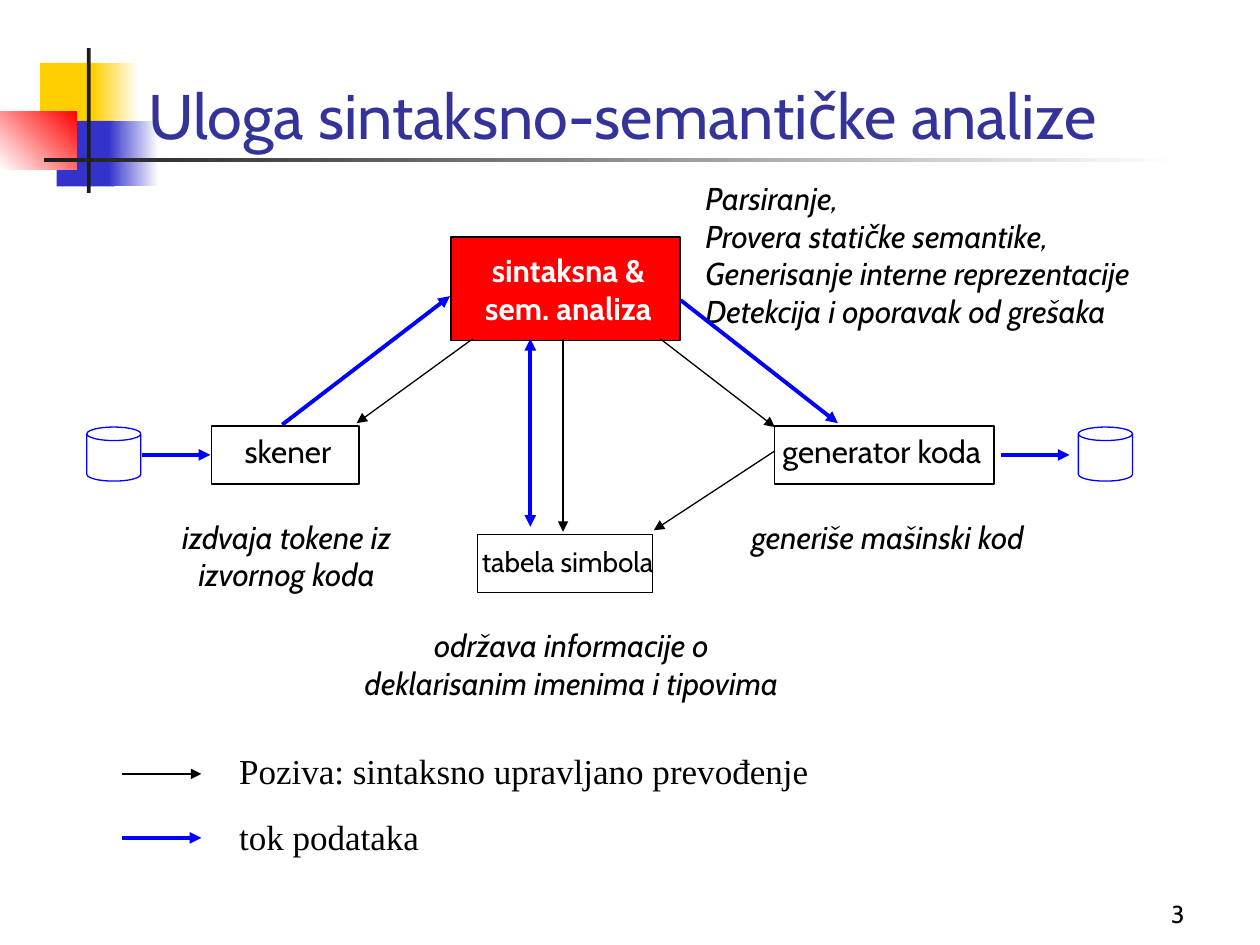
from pptx import Presentation
from pptx import util as u
from pptx.dml.color import RGBColor
from pptx.enum import shapes, text
from pptx.oxml.ns import qn
from lxml import etree

COLORS = {
    "yellow": "FFCF01", "indigo": "3333CC", "red": "FF0000", "dark": "1C1C1C",
    "title": "333399", "flow": "0000FF", "black": "000000", "white": "FFFFFF",
}
BODY_FONT = "Cabin"
LEGEND_FONT = "Times New Roman"
LEFT, CENTER, RIGHT = text.PP_ALIGN.LEFT, text.PP_ALIGN.CENTER, text.PP_ALIGN.RIGHT


def color(name):
    return RGBColor.from_string(COLORS[name])


def place(item, left, top, width, height):
    item.left, item.top, item.width, item.height = map(u.Cm, (left, top, width, height))


def add_block(slide, box, fill=None, line=None, kind=shapes.MSO_SHAPE.RECTANGLE):
    block = slide.shapes.add_shape(kind, *map(u.Cm, box))
    block.shadow.inherit = False
    if fill:
        block.fill.solid()
        block.fill.fore_color.rgb = color(fill)
    else:
        block.fill.background()
    if line:
        block.line.color.rgb = color(line)
        block.line.width = u.Pt(0.75)
    else:
        block.line.fill.background()
    return block


def add_fade(slide, box, start, end, angle=180):
    fade = add_block(slide, box)
    fade.fill.gradient()
    fade.fill.gradient_angle = angle
    for stop, name in zip(fade.fill.gradient_stops, (start, end)):
        stop.color.rgb = color(name)


def write(frame, lines, size, ink="black", align=LEFT, font=BODY_FONT, bold=False, italic=False):
    for index, line in enumerate(lines):
        paragraph = frame.paragraphs[0] if index == 0 else frame.add_paragraph()
        paragraph.alignment = align
        run = paragraph.add_run()
        run.text = line
        run.font.name = font
        run.font.size = u.Pt(size)
        run.font.bold = bold
        run.font.italic = italic
        run.font.color.rgb = color(ink)


def add_label(slide, box, lines, size=18, **style):
    frame = slide.shapes.add_textbox(*map(u.Cm, box)).text_frame
    frame.word_wrap = False
    frame.auto_size = text.MSO_AUTO_SIZE.SHAPE_TO_FIT_TEXT
    write(frame, lines, size, **style)


def add_arrow(slide, points, ink="black", width=0.75, both_ends=False):
    arrow = slide.shapes.add_connector(shapes.MSO_CONNECTOR.STRAIGHT, *map(u.Cm, points))
    arrow.line.color.rgb = color(ink)
    arrow.line.width = u.Pt(width)
    outline = arrow.line._get_or_add_ln()
    for end in ("a:headEnd", "a:tailEnd") if both_ends else ("a:tailEnd",):
        etree.SubElement(outline, qn(end), type="triangle")
    etree.SubElement(arrow._element.spPr, qn("a:effectLst"))


def add_flow(slide, points, both_ends=False):
    add_arrow(slide, points, "flow", 2.25, both_ends)


def add_decoration(slide):
    add_block(slide, (0.81, 1.27, 1.22, 1.32), "yellow")
    add_fade(slide, (1.88, 1.27, 0.91, 1.32), "white", "yellow")
    add_block(slide, (1.14, 2.44, 1.17, 1.32), "indigo")
    add_fade(slide, (2.18, 2.44, 1.02, 1.32), "white", "indigo")
    add_fade(slide, (0, 2.24, 1.55, 1.17), "red", "white", 225)
    add_block(slide, (1.75, 0.97, 0.08, 2.92), "dark")
    add_fade(slide, (0.89, 3.18, 22.86, 0.08), "white", "dark")


def add_title(slide, heading):
    title = slide.shapes.title
    place(title, 2.74, 0, 21.64, 3.2)
    frame = title.text_frame
    frame.word_wrap = True
    frame.auto_size = text.MSO_AUTO_SIZE.NONE
    frame.vertical_anchor = text.MSO_ANCHOR.BOTTOM
    write(frame, [heading], 36, "title")
    slide.shapes._spTree.append(title._element)


def add_stages(slide):
    add_block(slide, (9.09, 4.78, 4.62, 2.08), "red", "black")
    add_label(slide, (9.25, 4.93, 4.42, 1.78), ["sintaksna &", "sem. analiza"],
              ink="white", align=CENTER, bold=True)
    stages = [
        ("skener", 18, (4.55, 8.59, 2.51, 1.02), (4.27, 8.59, 2.97, 1.17)),
        ("tabela simbola", 16, (9.25, 10.85, 4.39, 0.94), (9.63, 10.77, 3.53, 1.17)),
        ("generator koda", 18, (15.21, 8.59, 5.13, 1.02), (15.62, 8.59, 4.42, 1.17)),
    ]
    for name, size, label_box, frame_box in stages:
        add_label(slide, label_box, [name], size, align=CENTER)
        add_block(slide, frame_box, line="black")
    for left in (1.75, 21.74):
        add_block(slide, (left, 8.61, 1.09, 1.09), line="flow", kind=shapes.MSO_SHAPE.CAN)


def add_captions(slide):
    captions = [
        ((3.2, 10.31, 5.16, 1.78), CENTER, ["izdvaja tokene iz", "izvornog koda"]),
        ((6.63, 12.5, 9.78, 1.78), CENTER,
         ["održava informacije o", "deklarisanim imenima i tipovima"]),
        ((14.53, 10.31, 6.73, 1.02), CENTER, ["generiše mašinski kod"]),
        ((13.97, 3.48, 10.13, 3.3), LEFT,
         ["Parsiranje,", "Provera statičke semantike,",
          "Generisanje interne reprezentacije", "Detekcija i oporavak od grešaka"]),
    ]
    for box, align, lines in captions:
        add_label(slide, box, lines, align=align, italic=True)


def add_links(slide):
    calls = [
        (11.35, 6.83, 11.35, 10.72), (9.53, 6.83, 7.19, 8.53),
        (13.31, 6.83, 15.62, 8.61), (15.62, 9.09, 13.18, 10.69),
    ]
    flows = [
        (5.69, 8.56, 9.07, 5.97), (2.87, 9.17, 4.24, 9.17),
        (20.17, 9.17, 21.56, 9.17), (13.72, 6.05, 16.89, 8.53),
    ]
    for points in calls:
        add_arrow(slide, points)
    for points in flows:
        add_flow(slide, points)
    add_flow(slide, (10.69, 10.62, 10.69, 6.83), both_ends=True)


def add_legend(slide):
    entries = [
        (add_arrow, 15.6, 14.99, 11.99, "Poziva: sintaksno upravljano prevođenje"),
        (add_flow, 16.89, 16.31, 4.14, "tok podataka"),
    ]
    for draw, middle, top, width, meaning in entries:
        draw(slide, (2.46, middle, 4.06, middle))
        add_label(slide, (4.57, top, width, 1.12), [meaning], 20, font=LEGEND_FONT)


def add_page_number(slide, number):
    frame = slide.shapes.add_textbox(*map(u.Cm, (21.39, 17.58, 2.74, 1.27))).text_frame
    frame.word_wrap = True
    frame.vertical_anchor = text.MSO_ANCHOR.BOTTOM
    write(frame, [number], 14, align=RIGHT)


def main():
    deck = Presentation()
    deck.slide_width, deck.slide_height = u.Cm(25.4), u.Cm(19.05)
    slide = deck.slides.add_slide(deck.slide_layouts[5])
    add_decoration(slide)
    add_title(slide, "Uloga sintaksno-semantičke analize")
    add_stages(slide)
    add_captions(slide)
    add_links(slide)
    add_legend(slide)
    add_page_number(slide, "3")
    deck.save("out.pptx")


if __name__ == "__main__":
    main()
